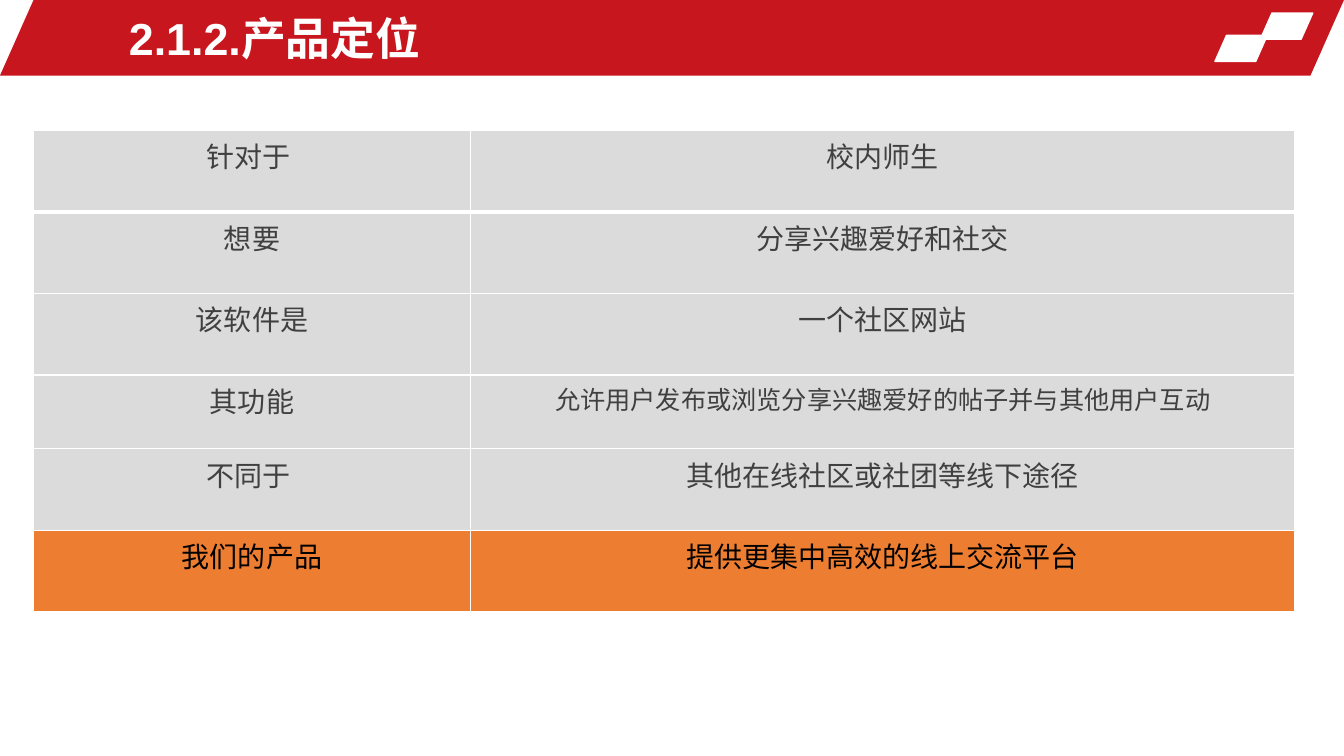
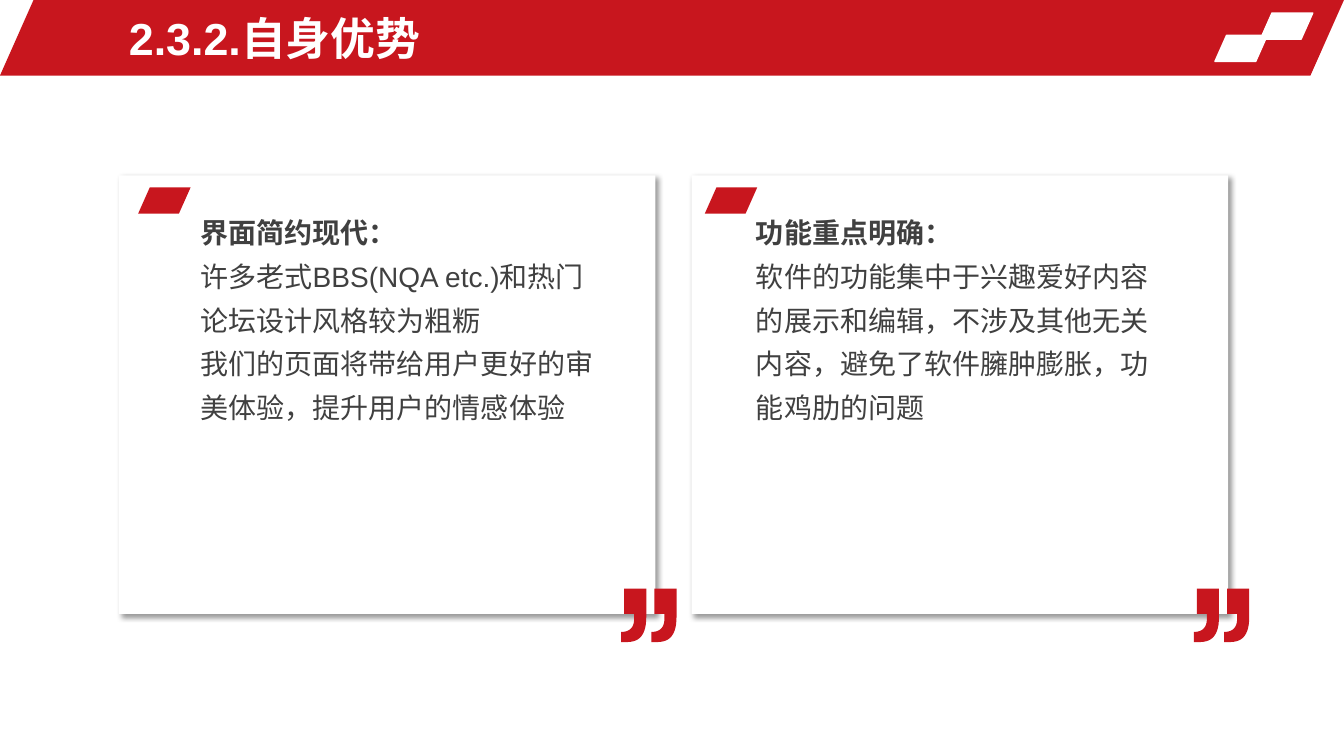
from dataclasses import dataclass

from lxml.etree import SubElement
from pptx import Presentation
from pptx.dml.color import RGBColor
from pptx.enum.shapes import MSO_SHAPE
from pptx.enum.text import MSO_ANCHOR, MSO_AUTO_SIZE, PP_ALIGN
from pptx.oxml.ns import qn
from pptx.util import Inches, Pt

COLORS = {
    "red": "C8161E",
    "white": "FFFFFF",
    "text": "404040",
    "black": "000000",
    "gray": "DBDBDB",
    "orange": "ED7D31",
}
FONT = "Arial"
SLANT = 0.444
TAG_SIZE = (0.52, 0.26)
CARD_TOP, CARD_WIDTH, CARD_HEIGHT = 1.74, 5.32, 4.35
QUOTE_OFFSET, QUOTE_TOP, QUOTE_STEP = 4.98, 5.84, 0.3
COLUMN_WIDTHS = (4.34, 8.17)


@dataclass
class Row:
    label: str
    value: str
    height: float = 0.81
    value_size: int = 20
    fill: str = "gray"
    color: str = "text"


@dataclass
class Card:
    left: float
    tag_left: float
    text_left: float
    heading: str
    body: tuple[str, ...]


ROWS = (
    Row("针对于 ", "校内师生"),
    Row("想要", "分享兴趣爱好和社交"),
    Row("该软件是", "一个社区网站"),
    Row("其功能", "允许用户发布或浏览分享兴趣爱好的帖子并与其他用户互动",
        height=0.73, value_size=18),
    Row("不同于 ", "其他在线社区或社团等线下途径"),
    Row("我们的产品", "提供更集中高效的线上交流平台", fill="orange", color="black"),
)
CARDS = (
    Card(1.18, 1.37, 1.89, "界面简约现代：", (
        "许多老式BBS(NQA etc.)和热门论坛设计风格较为粗粝",
        "我们的页面将带给用户更好的审美体验，提升用户的情感体验",
    )),
    Card(6.86, 6.99, 7.4, "功能重点明确：", (
        "软件的功能集中于兴趣爱好内容的展示和编辑，不涉及其他无关内容，"
        "避免了软件臃肿膨胀，功能鸡肋的问题",
    )),
)


def rgb(name: str) -> RGBColor:
    return RGBColor.from_string(COLORS[name])


def write_text(para, text: str, *, size: float = 20, color: str = "text",
               bold: bool = False, align=None, spacing=None) -> None:
    span = para.add_run()
    span.text = text
    span.font.name = FONT
    span.font.size = Pt(size)
    span.font.bold = bold
    span.font.color.rgb = rgb(color)
    if align is not None:
        para.alignment = align
    if spacing is not None:
        para.line_spacing = spacing


def paint(shape, fill: str, line: str | None = None) -> None:
    shape.shadow.inherit = False
    shape.fill.solid()
    shape.fill.fore_color.rgb = rgb(fill)
    if line:
        shape.line.color.rgb = rgb(line)
        shape.line.width = Pt(1)
    else:
        shape.line.fill.background()


def add_slanted(page, left: float, top: float, width: float, height: float,
                fill: str, line: str | None = None) -> None:
    shape = page.shapes.add_shape(MSO_SHAPE.PARALLELOGRAM, Inches(left), Inches(top),
                                  Inches(width), Inches(height))
    shape.adjustments[0] = SLANT
    paint(shape, fill, line)


def add_text_box(page, left: float, top: float, width: float, height: float):
    box = page.shapes.add_textbox(Inches(left), Inches(top), Inches(width), Inches(height))
    box.text_frame.word_wrap = True
    return box.text_frame


def add_page(deck, title: str):
    page = deck.slides.add_slide(deck.slide_layouts[6])
    add_slanted(page, 0, 0, 13.33, 0.75, "red")
    for left, top in ((12.5, 0.13), (12.05, 0.35)):
        add_slanted(page, left, top, *TAG_SIZE, "white", "white")
    frame = add_text_box(page, 1.18, 0.05, 7.74, 0.65)
    frame.vertical_anchor = MSO_ANCHOR.MIDDLE
    write_text(frame.paragraphs[0], title, size=32, color="white", bold=True)
    return page


def set_borders(cell, *, top: float = 1, bottom: float = 1) -> None:
    properties = cell._tc.get_or_add_tcPr()
    for side, width in (("L", 1), ("R", 1), ("T", top), ("B", bottom)):
        line = SubElement(properties, qn(f"a:ln{side}"), w=str(Pt(width)))
        fill = SubElement(line, qn("a:solidFill"))
        SubElement(fill, qn("a:srgbClr"), val=COLORS["white"])


def add_positioning_table(page) -> None:
    table = page.shapes.add_table(
        len(ROWS), len(COLUMN_WIDTHS), Inches(0.33), Inches(1.29),
        Inches(sum(COLUMN_WIDTHS)), Inches(sum(row.height for row in ROWS))).table
    table.first_row = False
    table.horz_banding = False
    for column, width in zip(table.columns, COLUMN_WIDTHS):
        column.width = Inches(width)
    for index, row in enumerate(ROWS):
        table.rows[index].height = Inches(row.height)
        for column, (text, size) in enumerate(((row.label, 20), (row.value, row.value_size))):
            cell = table.cell(index, column)
            set_borders(cell, top=3 if index == 1 else 1, bottom=3 if index == 0 else 1)
            cell.fill.solid()
            cell.fill.fore_color.rgb = rgb(row.fill)
            write_text(cell.text_frame.paragraphs[0], text, size=size,
                       color=row.color, align=PP_ALIGN.CENTER)


def add_card_shadow(shape) -> None:
    effects = shape._element.spPr.find(qn("a:effectLst"))
    shadow = SubElement(effects, qn("a:outerShdw"), blurRad=str(Pt(4)), dist=str(Pt(3)),
                        dir=str(45 * 60000), algn="tl", rotWithShape="0")
    color = SubElement(shadow, qn("a:srgbClr"), val=COLORS["black"])
    SubElement(color, qn("a:alpha"), val="40000")


def curve(*controls: tuple[float, float], steps: int = 12) -> list[tuple[float, float]]:
    points = []
    for step in range(1, steps + 1):
        t = step / steps
        weights = ((1 - t) ** 3, 3 * t * (1 - t) ** 2, 3 * t ** 2 * (1 - t), t ** 3)
        points.append(tuple(sum(w * p[axis] for w, p in zip(weights, controls))
                            for axis in (0, 1)))
    return points


def add_quote(page, left: float) -> None:
    outline = [
        (0.25, 0), (0.25, 0.28),
        *curve((0.25, 0.28), (0.25, 0.45), (0.19, 0.53), (0.06, 0.53)),
        (0, 0.53), (0, 0.43),
        *curve((0, 0.43), (0.09, 0.43), (0.13, 0.38), (0.13, 0.3)),
        (0.13, 0.25), (0.03, 0.25), (0.03, 0),
    ]
    marks = [[(Inches(left + shift + x), Inches(QUOTE_TOP + y)) for x, y in outline]
             for shift in (0, QUOTE_STEP)]
    builder = page.shapes.build_freeform(*marks[0][0])
    builder.add_line_segments(marks[0][1:])
    builder.move_to(*marks[1][0])
    builder.add_line_segments(marks[1][1:])
    paint(builder.convert_to_shape(), "red")


def add_card(page, card: Card) -> None:
    panel = page.shapes.add_shape(MSO_SHAPE.RECTANGLE, Inches(card.left), Inches(CARD_TOP),
                                  Inches(CARD_WIDTH), Inches(CARD_HEIGHT))
    paint(panel, "white")
    add_card_shadow(panel)
    add_slanted(page, card.tag_left, 1.86, *TAG_SIZE, "red")
    frame = add_text_box(page, card.text_left, 1.99, 4.26, 2.25)
    frame.auto_size = MSO_AUTO_SIZE.SHAPE_TO_FIT_TEXT
    write_text(frame.paragraphs[0], card.heading, bold=True, spacing=1.3)
    for text in card.body:
        write_text(frame.add_paragraph(), text, spacing=1.3)
    add_quote(page, card.left + QUOTE_OFFSET)


def main() -> None:
    deck = Presentation()
    deck.slide_width, deck.slide_height = Inches(13.33), Inches(7.5)
    add_positioning_table(add_page(deck, "2.1.2.产品定位"))
    advantages = add_page(deck, "2.3.2.自身优势")
    for card in CARDS:
        add_card(advantages, card)
    deck.save("out.pptx")


if __name__ == "__main__":
    main()
